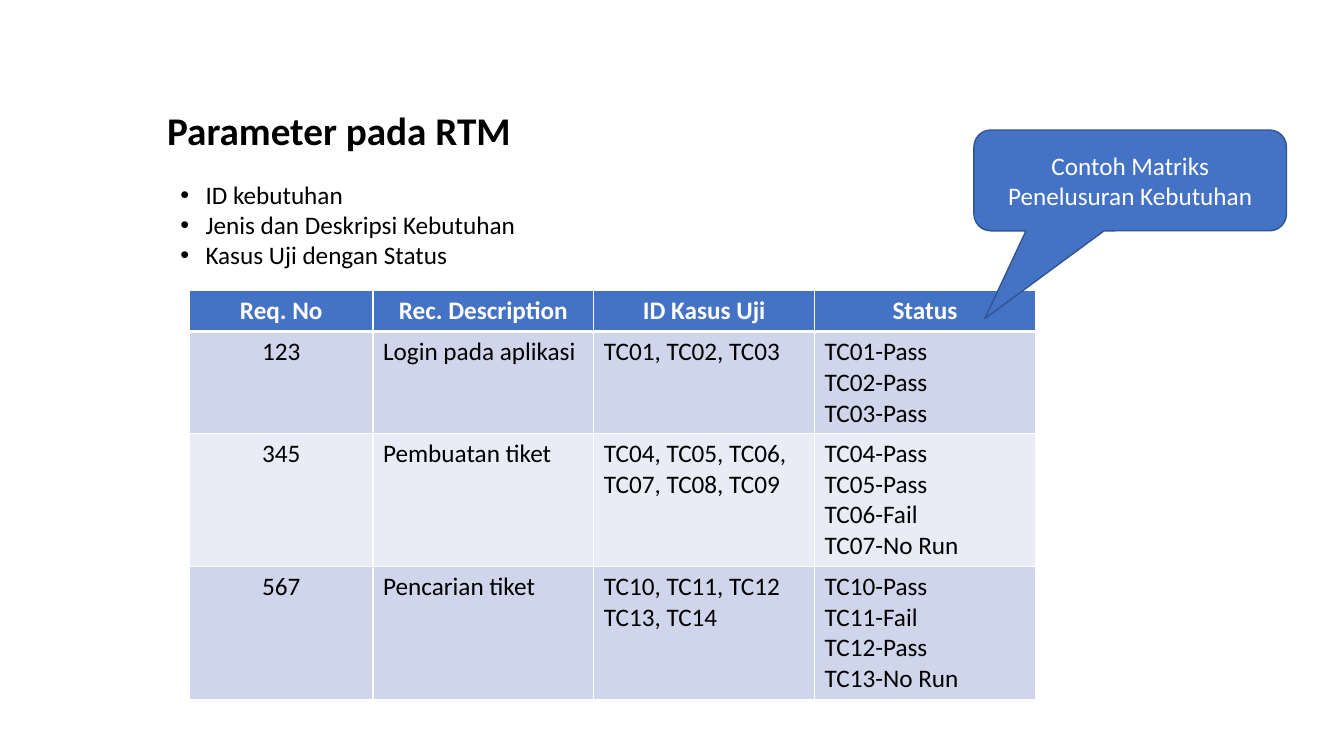
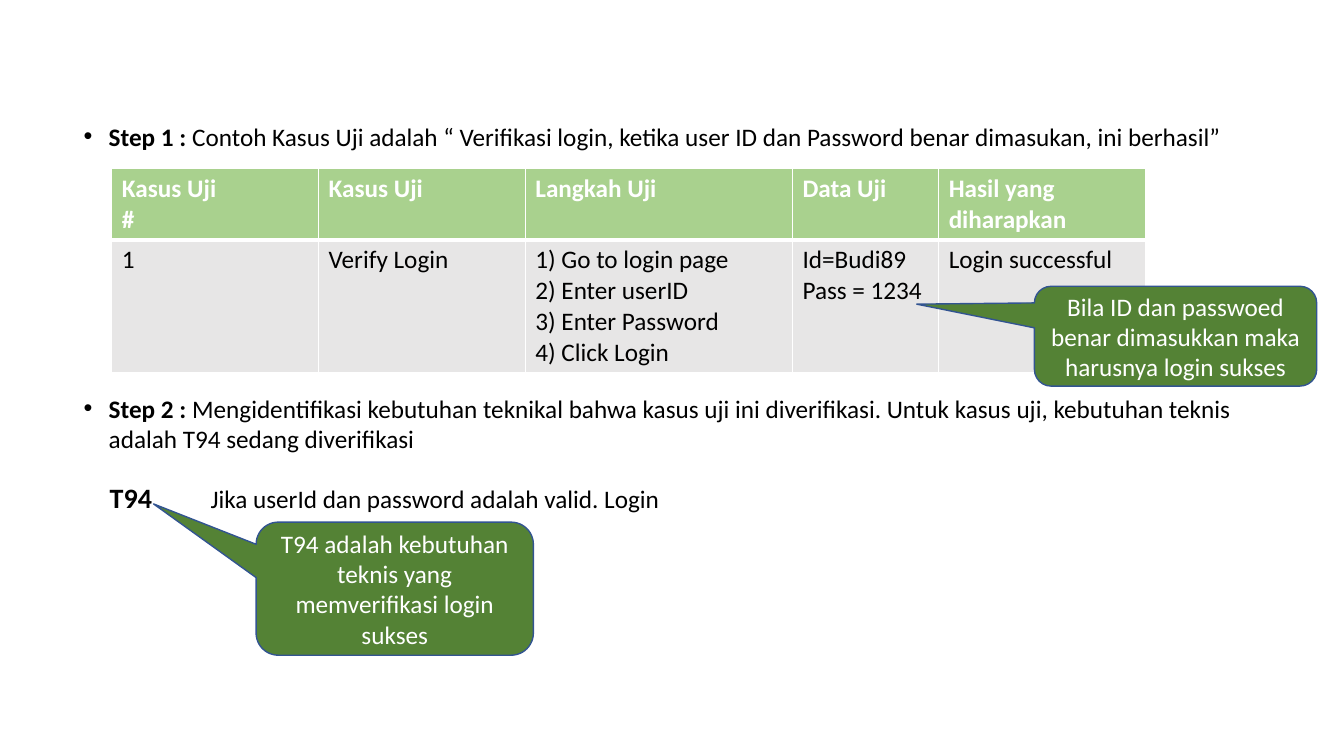
"""Build two slides on the requirements traceability matrix."""
from lxml.etree import SubElement
from pptx import Presentation
from pptx.dml.color import RGBColor
from pptx.enum.shapes import MSO_SHAPE
from pptx.enum.text import MSO_ANCHOR, PP_ALIGN
from pptx.oxml import parse_xml
from pptx.oxml.ns import nsdecls, qn
from pptx.util import Pt

PX = 9144
FONT = "Calibri"
BODY = 18
COLORS = {
    "black": "000000", "white": "FFFFFF", "outline": "325491",
    "blue": "4472C4", "blue_band": "CFD5EA", "blue_pale": "E9EBF5",
    "green": "548235", "green_head": "A9D18E", "gray": "E7E6E6",
}


def rgb(name):
    return RGBColor.from_string(COLORS[name])


def write(frame, lines, color, align=PP_ALIGN.LEFT):
    """Fill a text frame with lines of (text, size, bold) spans."""
    frame.word_wrap = True
    frame.text = "\n".join([""] * len(lines))
    for para, spans in zip(frame.paragraphs, lines):
        para.alignment = align
        for text, size, bold in spans:
            span = para.add_run()
            span.text = text
            span.font.name = FONT
            span.font.size = Pt(size)
            span.font.bold = bold
            span.font.color.rgb = rgb(color)


deck = Presentation()
deck.slide_width, deck.slide_height = 1333 * PX, 750 * PX
parameters, steps = [deck.slides.add_slide(deck.slide_layouts[6]) for _ in range(2)]

texts = [
    (parameters, (156, 84, 1066, 89), MSO_ANCHOR.MIDDLE, False,
     [[("Parameter pada RTM", 28, True)]]),
    (parameters, (169, 173, 356, 123), MSO_ANCHOR.TOP, True,
     [[("ID kebutuhan", BODY, False)],
      [("Jenis dan Deskripsi Kebutuhan", BODY, False)],
      [("Kasus Uji dengan Status", BODY, False)]]),
    (steps, (73, 115, 1161, 45), MSO_ANCHOR.TOP, True,
     [[("Step 1 : ", BODY, True),
       ("Contoh Kasus Uji adalah “ Verifikasi login, ketika user ID dan Password "
        "benar dimasukan, ini berhasil”", BODY, False)]]),
    (steps, (73, 385, 1161, 75), MSO_ANCHOR.TOP, True,
     [[("Step 2 : ", BODY, True),
       ("Mengidentifikasi kebutuhan teknikal bahwa kasus uji ini diverifikasi. "
        "Untuk kasus uji, kebutuhan teknis adalah T94 sedang diverifikasi", BODY, False)]]),
    (steps, (99, 461, 577, 57), MSO_ANCHOR.TOP, False,
     [[("T94", 20, True), (" ", 28, True),
       ("\tJika userId dan password adalah valid. Login", BODY, False)]]),
]
for page, place, anchor, bulleted, lines in texts:
    box = page.shapes.add_textbox(*[length * PX for length in place])
    write(box.text_frame, lines, "black")
    box.text_frame.vertical_anchor = anchor
    if bulleted:
        for para in box.text_frame.paragraphs:
            properties = para._p.get_or_add_pPr()
            properties.set("marL", str(25 * PX))
            properties.set("indent", str(-25 * PX))
            SubElement(properties, qn("a:buFont"), typeface="Arial")
            SubElement(properties, qn("a:buChar"), char="•")

tables = [
    (parameters, (188, 288), (182, 219, 219, 219), (41, 101, 132, 132),
     ("blue", "blue_band", "blue_pale", "blue_band"),
     (PP_ALIGN.CENTER, PP_ALIGN.LEFT, PP_ALIGN.LEFT, PP_ALIGN.LEFT), PP_ALIGN.CENTER,
     [("Req. No", "Rec. Description", "ID Kasus Uji", "Status"),
      ("123", "Login pada aplikasi", "TC01, TC02, TC03",
       "TC01-Pass\nTC02-Pass\nTC03-Pass"),
      ("345", "Pembuatan tiket", "TC04, TC05, TC06, TC07, TC08, TC09",
       "TC04-Pass\nTC05-Pass\nTC06-Fail\nTC07-No Run"),
      ("567", "Pencarian tiket", "TC10, TC11, TC12\nTC13, TC14",
       "TC10-Pass\nTC11-Fail\nTC12-Pass\nTC13-No Run")]),
    (steps, (111, 167), (205, 205, 265, 145, 205), (71, 132),
     ("green_head", "gray"), (PP_ALIGN.LEFT,) * 5, PP_ALIGN.LEFT,
     [("Kasus Uji\n#", "Kasus Uji", "Langkah Uji", "Data Uji", "Hasil yang diharapkan"),
      ("1", "Verify Login",
       "1) Go to login page\n2) Enter userID\n3) Enter Password\n4) Click Login",
       "Id=Budi89\nPass = 1234", "Login successful")]),
]
for page, (left, top), widths, heights, fills, aligns, head_align, rows in tables:
    table = page.shapes.add_table(
        len(heights), len(widths), left * PX, top * PX,
        sum(widths) * PX, sum(heights) * PX).table
    table.horz_banding = False
    for column, width in zip(table.columns, widths):
        column.width = width * PX
    for r, (height, fill, values) in enumerate(zip(heights, fills, rows)):
        table.rows[r].height = height * PX
        is_head = r == 0
        for c, value in enumerate(values):
            cell = table.cell(r, c)
            write(cell.text_frame, [[(line, BODY, is_head)] for line in value.split("\n")],
                  "white" if is_head else "black", head_align if is_head else aligns[c])
            cell.fill.solid()
            cell.fill.fore_color.rgb = rgb(fill)
            for i, side in enumerate("LRTB"):
                thick = (side, r) in (("B", 0), ("T", 1))
                cell._tc.get_or_add_tcPr().insert(i, parse_xml(
                    f'<a:ln{side} {nsdecls("a")} w="{Pt(3 if thick else 1)}"><a:solidFill>'
                    f'<a:srgbClr val="{COLORS["white"]}"/></a:solidFill></a:ln{side}>'))

callouts = [
    (parameters, (966, 129, 310, 100), (-0.465, 1.371), "blue",
     "Contoh Matriks Penelusuran Kebutuhan"),
    (steps, (1026, 284, 280, 99), (-0.917, -0.321), "green",
     "Bila ID dan passwoed benar dimasukkan maka harusnya login sukses"),
    (steps, (254, 518, 275, 132), (-0.87, -0.637), "green",
     "T94 adalah kebutuhan teknis yang memverifikasi login sukses"),
]
for page, place, tip, fill, text in callouts:
    callout = page.shapes.add_shape(
        MSO_SHAPE.ROUNDED_RECTANGULAR_CALLOUT, *[length * PX for length in place])
    callout.adjustments[0], callout.adjustments[1] = tip
    callout.shadow.inherit = False
    callout.fill.solid()
    callout.fill.fore_color.rgb = rgb(fill)
    callout.line.color.rgb = rgb("outline")
    callout.line.width = Pt(1)
    write(callout.text_frame, [[(text, BODY, False)]], "white", PP_ALIGN.CENTER)
    callout.text_frame.vertical_anchor = MSO_ANCHOR.MIDDLE

deck.save("out.pptx")
